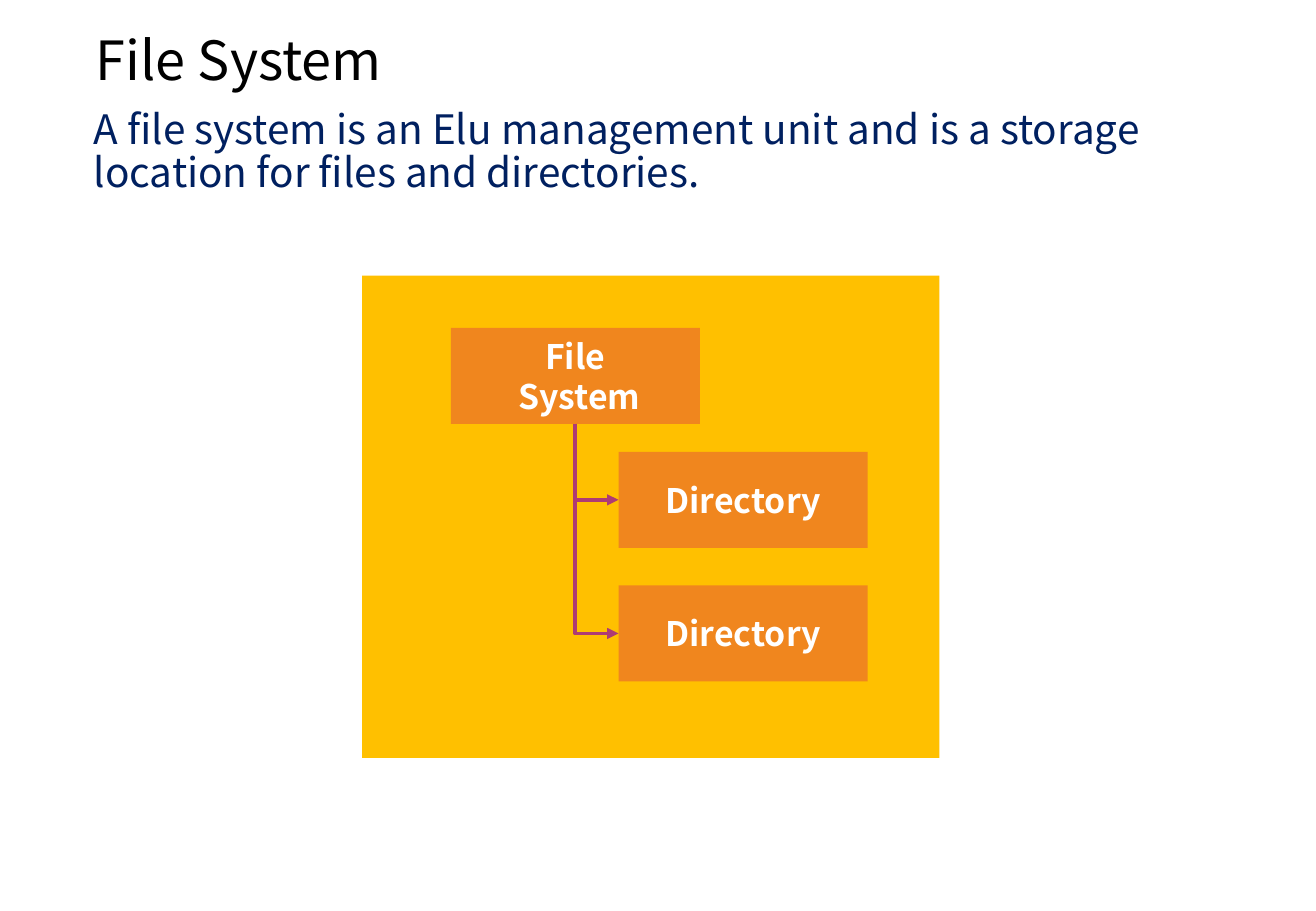
"""Builds the File System slide: a heading, a definition and a directory tree."""
from lxml import etree
from pptx import Presentation
from pptx.dml.color import RGBColor
from pptx.enum import shapes, text
from pptx.oxml.ns import qn
from pptx.util import Inches, Pt

FONT = "Noto Sans CJK JP"
COLORS = {"panel": "FFC000", "box": "F0861E", "arrow": "AE3B74",
          "title": "000000", "body": "002060", "label": "FFFFFF"}


def write(shape, words, size, color, anchor):
    """Fill a shape with one styled paragraph and return the paragraph."""
    frame = shape.text_frame
    frame.word_wrap = True
    frame.auto_size = text.MSO_AUTO_SIZE.NONE
    frame.vertical_anchor = anchor
    para = frame.paragraphs[0]
    para.text = words
    para.font.name = FONT
    para.font.size = Pt(size)
    para.font.color.rgb = RGBColor.from_string(COLORS[color])
    return para


def block(left, top, width, height, color):
    """Add a plain filled rectangle."""
    rect = slide.shapes.add_shape(shapes.MSO_SHAPE.RECTANGLE, Inches(left),
                                  Inches(top), Inches(width), Inches(height))
    rect.shadow.inherit = False
    rect.fill.solid()
    rect.fill.fore_color.rgb = RGBColor.from_string(COLORS[color])
    rect.line.fill.background()
    return rect


deck = Presentation()
deck.slide_width, deck.slide_height = Inches(10.83), Inches(7.5)
slide = deck.slides.add_slide(deck.slide_layouts[6])

block(2.98, 2.27, 4.75, 3.97, "panel")

title = slide.shapes.add_textbox(Inches(0.69), Inches(0.24), Inches(9.45), Inches(0.55))
para = write(title, "File System", 32, "title", text.MSO_ANCHOR.MIDDLE)
para.line_spacing = 0.9

body = slide.shapes.add_textbox(Inches(0.69), Inches(0.87), Inches(9.69), Inches(0.8))
para = write(body, "A file system is an Elu management unit and is a storage "
             "location for files and directories.", 24, "body", text.MSO_ANCHOR.TOP)
para.line_spacing = 0.88
frame = body.text_frame
frame.margin_left = frame.margin_right = Inches(0.08)
frame.margin_top = frame.margin_bottom = Inches(0.04)

boxes = []
for words, left, top in [("File\v System", 3.71, 2.7),
                         ("Directory", 5.09, 3.72),
                         ("Directory", 5.09, 4.82)]:
    box = block(left, top, 2.05, 0.79, "box")
    para = write(box, words, 20, "label", text.MSO_ANCHOR.MIDDLE)
    para.alignment = text.PP_ALIGN.CENTER
    para.font.bold = True
    boxes.append(box)

root, *leaves = boxes
for leaf in leaves:
    link = slide.shapes.add_connector(shapes.MSO_CONNECTOR.ELBOW, 0, 0, 0, 0)
    link.begin_connect(root, 2)
    link.end_connect(leaf, 1)
    link.line.color.rgb = RGBColor.from_string(COLORS["arrow"])
    link.line.width = Pt(2.25)
    across, down = link.width, link.height
    link.left += (across - down) // 2
    link.top += (down - across) // 2
    link.width, link.height = down, across
    props = link._element.spPr
    frame = props.find(qn("a:xfrm"))
    frame.set("rot", "16200000")
    frame.set("flipH", "1")
    props.find(qn("a:prstGeom")).set("prst", "bentConnector2")
    etree.SubElement(props.find(qn("a:ln")), qn("a:tailEnd"), type="triangle")
    etree.SubElement(props, qn("a:effectLst"))

deck.save("out.pptx")
